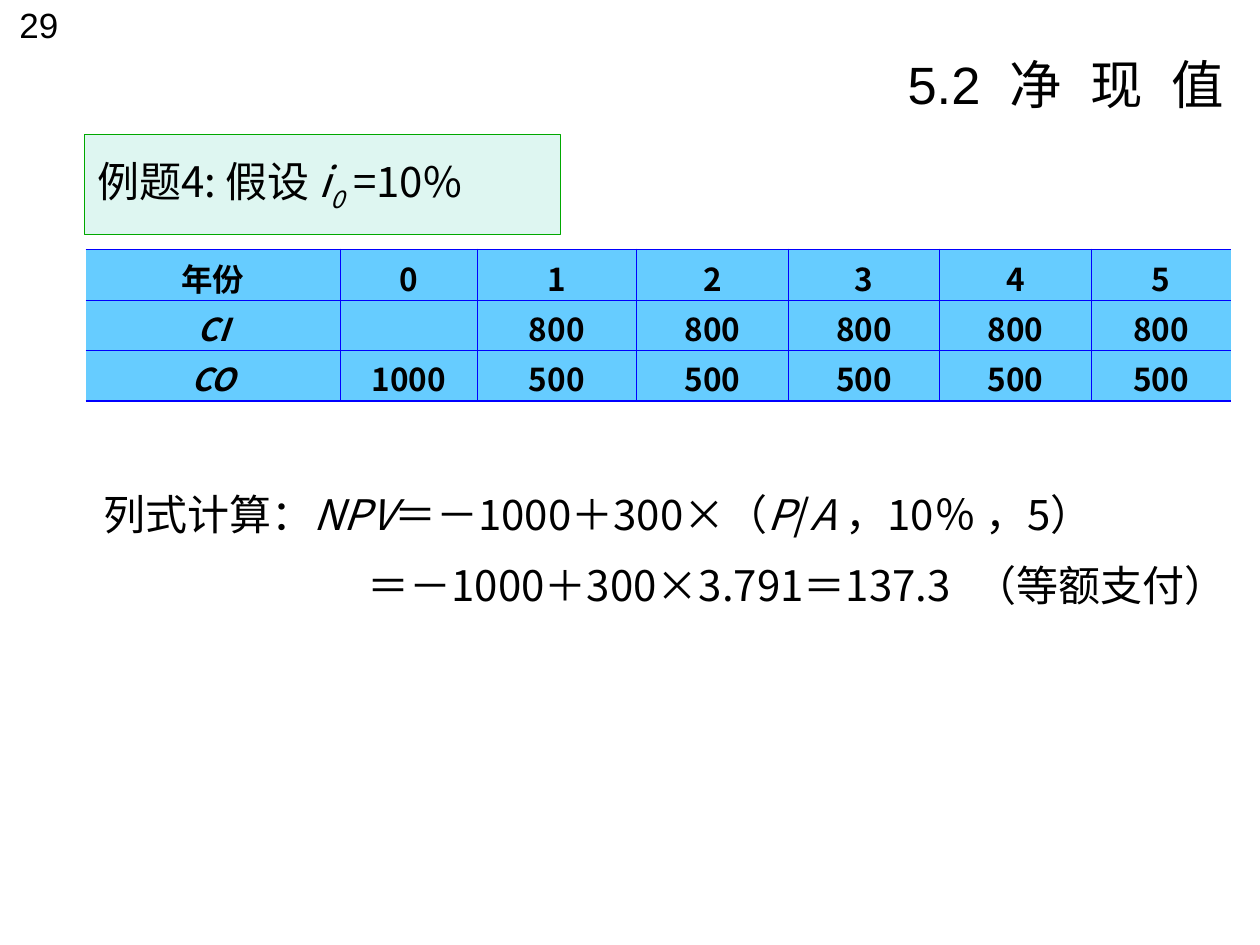
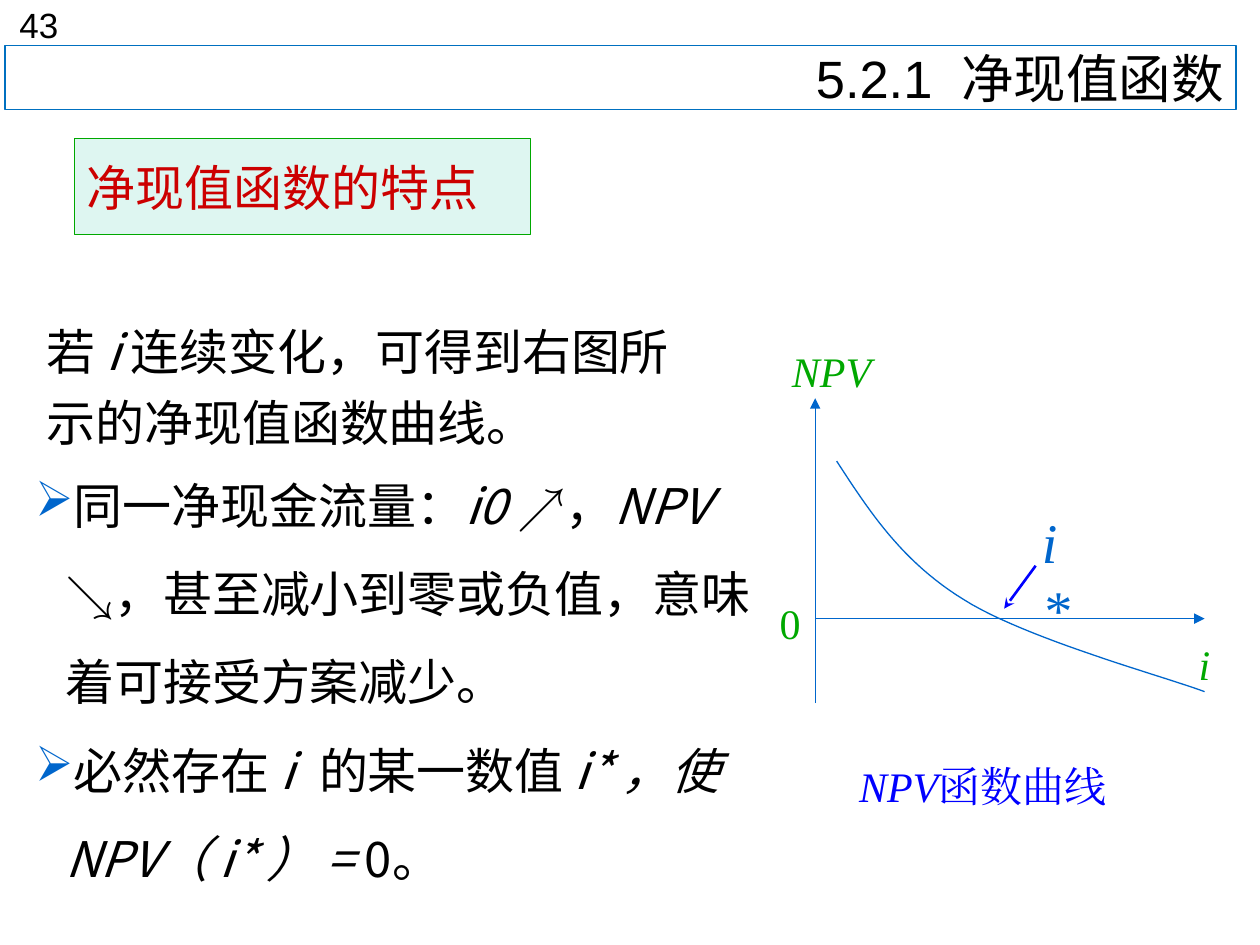
from lxml.etree import SubElement as Sub
from pptx import Presentation
from pptx.dml.color import RGBColor as Rgb
from pptx.enum.shapes import MSO_CONNECTOR as Link, MSO_SHAPE as Kind
from pptx.enum.text import MSO_ANCHOR as Anchor, PP_ALIGN as Align
from pptx.oxml.ns import qn
from pptx.util import Pt

PX = 9144
BLACK = Rgb(0, 0, 0)
RED = Rgb(0xCC, 0, 0)
GREEN = Rgb(0, 0xA8, 0)
MINT = Rgb(0xDE, 0xF6, 0xF1)
SKY = Rgb(0x66, 0xCC, 0xFF)
BLUE = Rgb(0, 0, 0xFF)
AXIS = Rgb(0, 0x66, 0xCC)
FRAME = Rgb(0, 0x70, 0xC0)
HAN, SANS, SERIF = "Noto Sans CJK SC", "Arial", "Times New Roman"
ITAL = {"ital": True}
GAP = (" ", {"wide": 8})
PAGE = (3, 3, 56, 36)
HEAD = (4, 36, 977, 51)
YEARS = [
    ["年份", "0", "1", "2", "3", "4", "5"],
    ["CI", ""] + ["800"] * 5,
    ["CO", "1000"] + ["500"] * 5,
]
COLS = [202, 109, 126, 121, 120, 120, 111]


def emu(*nums):
    """Turn px into EMU."""
    return [round(n * PX) for n in nums]


def style(run, size=24, face=HAN, color=BLACK, bold=False, ital=False, base=0, wide=0):
    """Format one run."""
    font = run.font
    font.size, font.name, font.bold, font.italic = Pt(size), face, bold, ital
    font.color.rgb = color
    props = run._r.get_or_add_rPr()
    Sub(props, qn("a:ea")).set("typeface", face)
    if base:
        props.set("baseline", str(base * 1000))
    if wide:
        props.set("spc", str(wide * 100))


def write(frame, paras, align=Align.LEFT, anchor=Anchor.TOP, lead=None,
          bullet=None, left=0, firsts=(), **form):
    """Fill a text frame with paragraphs, each a string or a list of runs."""
    frame.word_wrap = True
    frame.vertical_anchor = anchor
    for n, runs in enumerate([paras] if isinstance(paras, str) else paras):
        para = frame.paragraphs[0] if n == 0 else frame.add_paragraph()
        props = para._p.get_or_add_pPr()
        props.set("marL", str(left * PX))
        props.set("indent", str((firsts[n] if firsts else 0) * PX))
        para.alignment = align
        para.line_spacing = lead
        if bullet:
            tint = Sub(Sub(props, qn("a:buClr")), qn("a:srgbClr"))
            tint.set("val", str(AXIS))
            Sub(props, qn("a:buChar")).set("char", bullet)
        for part in [runs] if isinstance(runs, str) else runs:
            words, more = (part, {}) if isinstance(part, str) else part
            run = para.add_run()
            run.text = words
            style(run, **{**form, **more})


def label(slide, box, paras, inset=(10, 5), **form):
    """Add a text box."""
    frame = slide.shapes.add_textbox(*emu(*box)).text_frame
    frame.margin_left = frame.margin_right = inset[0] * PX
    frame.margin_top = frame.margin_bottom = inset[1] * PX
    write(frame, paras, **form)


def topic(slide, box, runs, **form):
    """Place the title in its green box."""
    shape = slide.shapes.title
    shape.left, shape.top, shape.width, shape.height = emu(*box)
    shape.fill.solid()
    shape.fill.fore_color.rgb = MINT
    shape.line.color.rgb, shape.line.width = GREEN, Pt(0.75)
    write(shape.text_frame, [runs], anchor=Anchor.MIDDLE, **form)


def header(slide, page, words, framed=False):
    """Add the page number and the section heading."""
    label(slide, PAGE, page, inset=(0, 0), align=Align.CENTER, size=20, face=SANS)
    if framed:
        shape = slide.shapes.add_shape(Kind.RECTANGLE, *emu(*HEAD))
        shape.shadow.inherit = False
        shape.fill.background()
        shape.line.color.rgb, shape.line.width = FRAME, Pt(0.75)
    runs = [words[0]]
    for word in words[1:]:
        runs += [GAP, word]
    label(slide, HEAD, [runs], align=Align.RIGHT, size=30, face=SANS,
          anchor=Anchor.MIDDLE if framed else Anchor.TOP)


def edge(cell, side, width):
    """Draw one cell border, or none for zero width."""
    line = Sub(cell._tc.get_or_add_tcPr(), qn("a:ln" + side))
    line.set("w", str(Pt(width)))
    if width:
        Sub(Sub(line, qn("a:solidFill")), qn("a:srgbClr")).set("val", str(BLUE))
    else:
        Sub(line, qn("a:noFill"))


def flows(slide, box):
    """Add the cash flow table."""
    rows, cols = len(YEARS), len(COLS)
    table = slide.shapes.add_table(rows, cols, *emu(*box)).table
    table.first_row = table.horz_banding = False
    for col, wide in zip(table.columns, COLS):
        col.width = wide * PX
    for r, row in enumerate(YEARS):
        table.rows[r].height = round(box[3] * PX / rows)
        for c, words in enumerate(row):
            cell = table.cell(r, c)
            cell.margin_top, cell.margin_bottom = emu(4, 0)
            edge(cell, "L", 0.45 if c else 0)
            edge(cell, "R", 0.45 if c < cols - 1 else 0)
            edge(cell, "T", 0.45 if r else 1.08)
            edge(cell, "B", 0.45 if r < rows - 1 else 1.08)
            cell.fill.solid()
            cell.fill.fore_color.rgb = SKY
            cell.vertical_anchor = Anchor.MIDDLE
            write(cell.text_frame, words, align=Align.CENTER, size=18,
                  anchor=None, bold=True, ital=r > 0 and c == 0)


def arrow(slide, start, end, color, width, head):
    """Add a line with an arrowhead at its end."""
    line = slide.shapes.add_connector(Link.STRAIGHT, *emu(*start, *end))
    line.line.color.rgb, line.line.width = color, Pt(width)
    Sub(line.line._get_or_add_ln(), qn("a:tailEnd")).set("type", head)
    Sub(line._element.spPr, qn("a:effectLst"))


def bend(a, b, c, d, steps=24):
    """List points along a cubic curve, after its start."""
    for n in range(1, steps + 1):
        t = n / steps
        u = 1 - t
        yield [u**3 * p + 3 * u * u * t * q + 3 * u * t * t * r + t**3 * s
               for p, q, r, s in zip(a, b, c, d)]


def curve(slide, *knots):
    """Draw an open smooth curve through chained cubic knots."""
    build = slide.shapes.build_freeform(*emu(*knots[0]))
    spots = [emu(*spot) for n in range(0, len(knots) - 1, 3)
             for spot in bend(*knots[n:n + 4])]
    build.add_line_segments(spots, close=False)
    shape = build.convert_to_shape()
    shape.shadow.inherit = False
    shape.fill.background()
    shape.line.color.rgb, shape.line.width = AXIS, Pt(0.75)


def graph(slide, box):
    """Draw the NPV curve with its axes and labels."""
    x, y = box[:2]

    def at(dx, dy):
        return x + dx, y + dy

    arrow(slide, at(41, 292), at(41, 50), AXIS, 0.75, "triangle")
    arrow(slide, at(41, 225), at(350, 225), AXIS, 0.75, "triangle")
    curve(slide, at(58, 100), at(84, 140), at(110, 180), at(159, 210),
          at(208, 241), at(318, 271), at(350, 283))
    for words, spot, wide, ital in [("NPV", at(0, 0), 108, True),
                                    ("0", at(0, 200), 42, False),
                                    ("i", at(325, 233), 50, True)]:
        label(slide, (*spot, wide, 56), words, align=Align.CENTER, face=SERIF,
              anchor=Anchor.MIDDLE, color=GREEN, ital=ital)
    label(slide, (*at(16, 333), 325, 56), [[("NPV", ITAL), "函数曲线"]],
          left=50, face=SERIF, color=BLUE)
    label(slide, (*at(211, 132), 40, 71), "i*", size=32, face=SERIF,
          color=AXIS, ital=True)
    arrow(slide, at(216, 183), at(191, 217), BLUE, 1.5, "stealth")


def sample(slide):
    """Build the worked example."""
    header(slide, "29", ["5.2", "净", "现", "值"])
    topic(slide, (67, 107, 378, 79),
          ["例题4: 假设 ", ("i", ITAL), ("0", {"ital": True, "base": -25}), " =10%"])
    flows(slide, (68, 198, 910, 120))
    label(slide, (72, 367, 911, 138), [
        ["列式计算：", ("NPV", ITAL), "＝－1000＋300×（", ("P", ITAL), "/",
         ("A ", ITAL), "，10％ ，5）"],
        ["＝－1000＋300×3.791＝137.3", GAP, "（等额支付）"],
    ], lead=1.4, firsts=(0, 210))


def traits(slide):
    """Build the slide on the NPV function."""
    header(slide, "43", ["5.2.1", "净现值函数"], framed=True)
    topic(slide, (59, 110, 362, 76), ["净现值函数的特点"], size=28, color=RED)
    label(slide, (27, 241, 521, 138),
          [["若 ", ("i ", ITAL), "连续变化，可得到右图所示的净现值函数曲线。"]],
          size=28, lead=1.2)
    graph(slide, (606, 266, 375, 389))
    sign = {"face": SANS}
    label(slide, (18, 349, 608, 329), [
        ["同一净现金流量：", ("i0 ", ITAL), ("↗", sign), "，", ("NPV ", ITAL),
         ("↘", sign), "，甚至减小到零或负值，意味着可接受方案减少。"],
        ["必然存在 ", ("i", ITAL), GAP, "的某一数值 ",
         ("i* ，使 NPV（ i* ） = ", ITAL), "0。"],
    ], size=28, lead=1.5, bullet="➢", left=24, firsts=(-24, -24))


def main():
    """Build and save the deck."""
    deck = Presentation()
    deck.slide_width, deck.slide_height = emu(1000, 750)
    for build in (sample, traits):
        build(deck.slides.add_slide(deck.slide_layouts[5]))
    deck.save("out.pptx")


if __name__ == "__main__":
    main()
